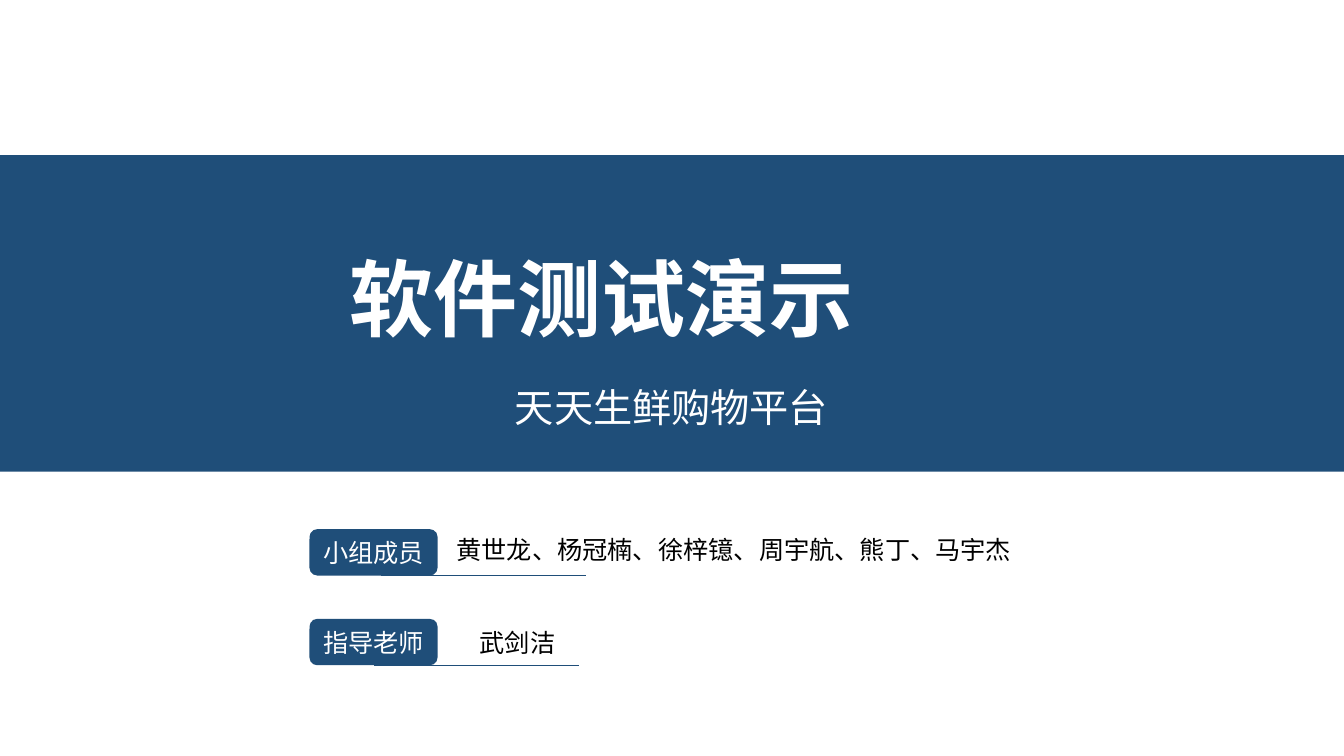
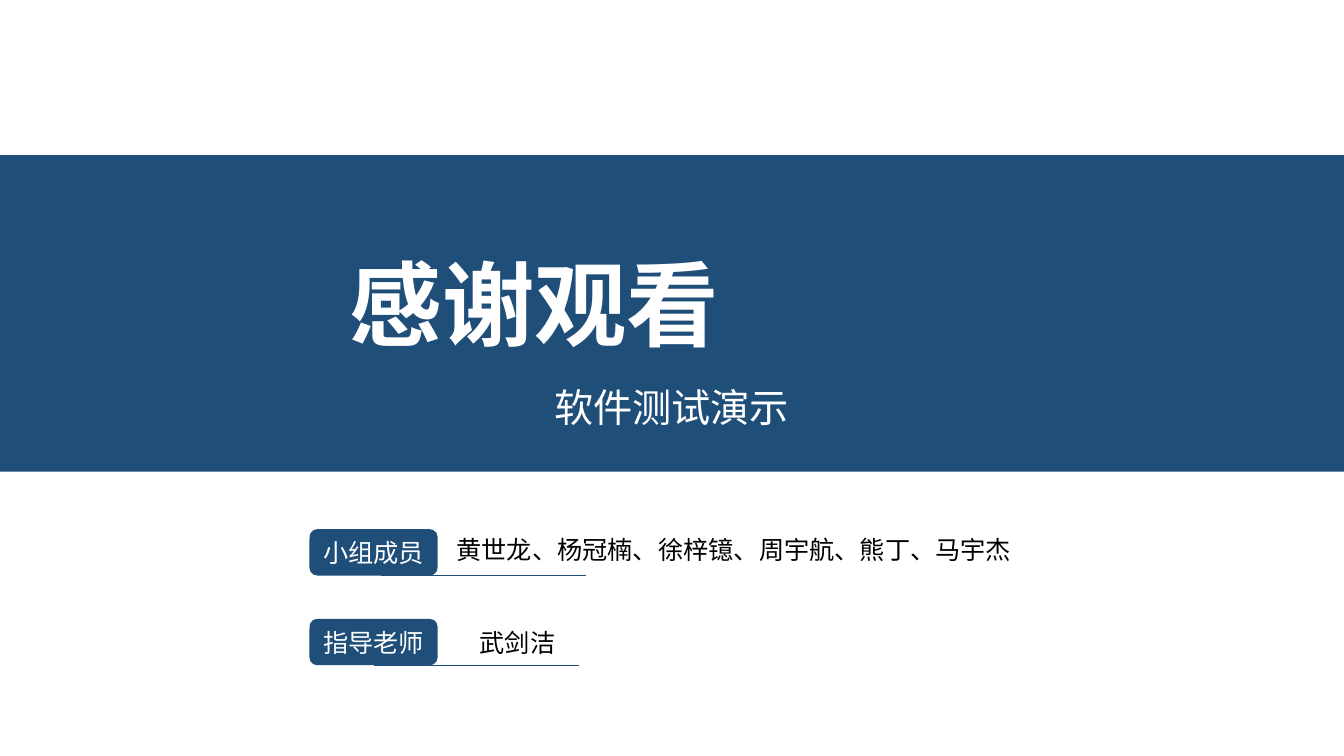
import pptx
import pptx.dml.color
import pptx.enum.shapes
import pptx.enum.text
import pptx.oxml
import pptx.oxml.ns
import pptx.util

Inches = pptx.util.Inches
RGBColor = pptx.dml.color.RGBColor
Shapes = pptx.enum.shapes.MSO_SHAPE
Align = pptx.enum.text.PP_ALIGN
Anchor = pptx.enum.text.MSO_ANCHOR

# Content
SLIDES = [
    {"title": "软件测试演示", "title_size": 60, "subtitle": "天天生鲜购物平台"},
    {"title": "感谢观看", "title_size": 66, "subtitle": "软件测试演示"},
]
# Label, names, names box (left, drop below row top, width), rule left
CREDITS = [
    ("小组成员", "黄世龙、杨冠楠、徐梓镱、周宇航、熊丁、马宇杰", (4.43, 0, 5.76), 3.78),
    ("指导老师", "武剑洁", (4.66, 0.03, 0.95), 3.71),
]

# Shared style
NAVY = RGBColor(0x1F, 0x4E, 0x79)
WHITE = RGBColor(0xFF, 0xFF, 0xFF)
BLACK = RGBColor(0x00, 0x00, 0x00)
LATIN, CJK = "Calibri", "Noto Sans CJK SC"
WIDTH, HEIGHT = 13.33, 7.5
BAND = (0, 1.54, WIDTH, 3.14)
TITLE = (3.37, 2.4, 6.57, 1.2)
SUBTITLE = (3.32, 3.75, 6.68, 0.57)
LABEL_LEFT, LABEL_WIDTH, LABEL_HEIGHT = 3.07, 1.27, 0.46
ROW_TOP, ROW_PITCH = 5.25, 0.89
NAMES_HEIGHT, RULE_LENGTH = 0.4, 2.03


def write(box, text, size, color, align, font=LATIN, bold=False, wrap=True):
    box.text_frame.word_wrap = wrap
    para = box.text_frame.paragraphs[0]
    para.alignment = align
    span = para.add_run()
    span.text = text
    style = {"size": pptx.util.Pt(size), "name": font, "bold": bold}
    for key, value in style.items():
        setattr(span.font, key, value)
    span.font.color.rgb = color
    # East Asian typeface
    east = pptx.oxml.parse_xml(
        f'<a:ea {pptx.oxml.ns.nsdecls("a")} typeface="{CJK}"/>')
    span.font._element.find(pptx.oxml.ns.qn("a:latin")).addnext(east)


def add_text(page, place, *args, **options):
    box = page.shapes.add_textbox(*map(Inches, place))
    write(box, *args, **options)


def add_block(page, kind, place):
    block = page.shapes.add_shape(kind, *map(Inches, place))
    block.shadow.inherit = False
    block.fill.solid()
    block.fill.fore_color.rgb = NAVY
    block.line.fill.background()
    return block


def add_rule(page, left, top):
    ends = map(Inches, (left, top, left + RULE_LENGTH, top))
    rule = page.shapes.add_connector(
        pptx.enum.shapes.MSO_CONNECTOR.STRAIGHT, *ends)
    rule.line.color.rgb = NAVY
    rule.line.width = pptx.util.Pt(0.5)
    rule._element.spPr.append(pptx.oxml.parse_xml(
        f'<a:effectLst {pptx.oxml.ns.nsdecls("a")}/>'))


def add_credit(page, row, label, names, names_place, rule_left):
    top = ROW_TOP + row * ROW_PITCH
    tag = add_block(page, Shapes.ROUNDED_RECTANGLE,
                    (LABEL_LEFT, top, LABEL_WIDTH, LABEL_HEIGHT))
    tag.text_frame.vertical_anchor = Anchor.MIDDLE
    write(tag, label, 18, WHITE, Align.CENTER)
    left, drop, width = names_place
    add_text(page, (left, top + drop, width, NAMES_HEIGHT),
             names, 18, BLACK, Align.LEFT, wrap=False)
    add_rule(page, rule_left, top + LABEL_HEIGHT)


def build_page(deck, content):
    page = deck.slides.add_slide(deck.slide_layouts[6])
    # Band with title and subtitle
    add_block(page, Shapes.RECTANGLE, BAND)
    add_text(page, TITLE, content["title"], content["title_size"],
             WHITE, Align.JUSTIFY, bold=True)
    add_text(page, SUBTITLE, content["subtitle"], 28, WHITE,
             Align.CENTER, font=CJK)
    # Team and teacher
    for row, credit in enumerate(CREDITS):
        add_credit(page, row, *credit)


def main():
    deck = pptx.Presentation()
    deck.slide_width, deck.slide_height = Inches(WIDTH), Inches(HEIGHT)
    for content in SLIDES:
        build_page(deck, content)
    deck.save("out.pptx")


if __name__ == "__main__":
    main()
